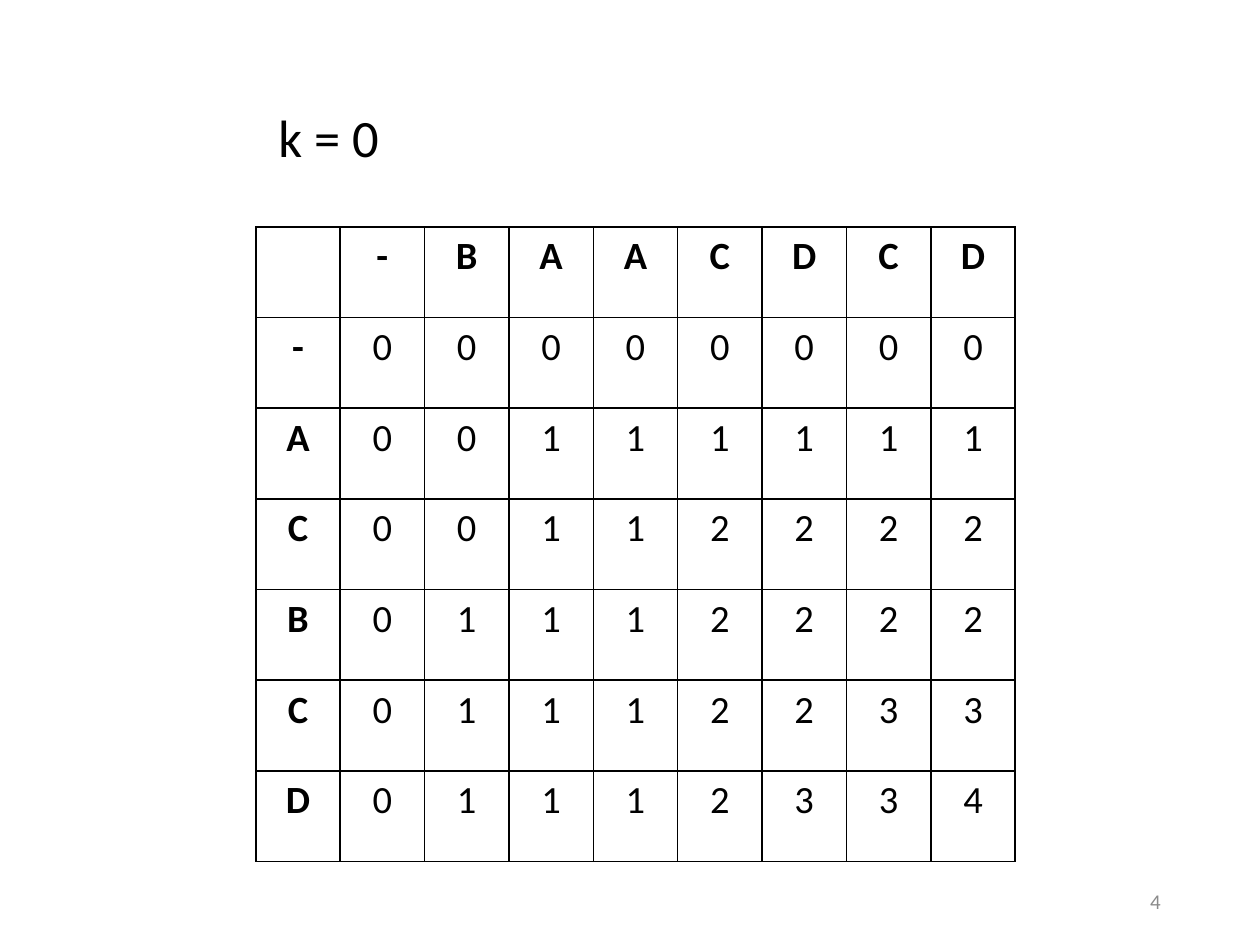
from lxml import etree
from pptx import Presentation
from pptx.dml.color import RGBColor
from pptx.enum.text import MSO_ANCHOR, MSO_AUTO_SIZE, PP_ALIGN
from pptx.oxml.ns import qn
from pptx.util import Inches, Pt

LEFT, CENTER, RIGHT = PP_ALIGN.LEFT, PP_ALIGN.CENTER, PP_ALIGN.RIGHT
TOP, MIDDLE = MSO_ANCHOR.TOP, MSO_ANCHOR.MIDDLE
TITLE_ONLY = 5
FONT = "Calibri"
BLACK, GRAY = "000000", "8B8B8B"
BORDER_PT = 0.96
TABLE_LEFT, TABLE_TOP = 2.03, 1.8
COL_W, ROW_H = 0.67, 0.72

# Longest common subsequence lengths: header row, then one row per letter
LCS_ROWS = [
    " -BAACDCD",
    "-00000000",
    "A00111111",
    "C00112222",
    "B01112222",
    "C01112233",
    "D01112334",
]


def rgb(value):
    return RGBColor.from_string(value)


def write(tf, text, size, color=BLACK, bold=False, align=LEFT):
    p = tf.paragraphs[0]
    p.alignment = align
    r = p.add_run()
    r.text = text
    for name, value in dict(name=FONT, size=Pt(size), bold=bold).items():
        setattr(r.font, name, value)
    r.font.color.rgb = rgb(color)


def place(sp, left, top, width, height):
    box = dict(left=left, top=top, width=width, height=height)
    for name, value in box.items():
        setattr(sp, name, Inches(value))


def add_borders(cell):
    tc_pr = cell._tc.get_or_add_tcPr()
    for i, side in enumerate(("lnL", "lnR", "lnT", "lnB")):
        ln = etree.Element(qn(f"a:{side}"), w=str(Pt(BORDER_PT)))
        fill = etree.SubElement(ln, qn("a:solidFill"))
        etree.SubElement(fill, qn("a:srgbClr"), val=BLACK)
        tc_pr.insert(i, ln)  # borders come before the cell fill


def add_title(s, text):
    sp = s.shapes.title
    place(sp, 2.11, 0.78, 1.05, 0.6)
    tf = sp.text_frame
    settings = dict(word_wrap=False, vertical_anchor=TOP,
                    auto_size=MSO_AUTO_SIZE.SHAPE_TO_FIT_TEXT)
    for name, value in settings.items():
        setattr(tf, name, value)
    write(tf, text, 30)


def add_lcs_table(s, rows):
    n_rows, n_cols = len(rows), len(rows[0])
    frame = s.shapes.add_table(
        n_rows, n_cols, Inches(TABLE_LEFT), Inches(TABLE_TOP),
        Inches(COL_W * n_cols), Inches(ROW_H * n_rows))
    table = frame.table
    table.first_row = table.horz_banding = False
    for col in table.columns:
        col.width = Inches(COL_W)
    for row in table.rows:
        row.height = Inches(ROW_H)
    for i, values in enumerate(rows):
        for j, value in enumerate(values):
            cell = table.cell(i, j)
            cell.margin_left = cell.margin_right = Inches(0.07)
            cell.fill.background()
            add_borders(cell)
            if value.strip():
                write(cell.text_frame, value, 22,
                      bold=i == 0 or j == 0, align=CENTER)


def add_slide_number(s, text):
    sp = s.shapes.add_textbox(0, 0, 0, 0)
    place(sp, 7.06, 6.95, 2.25, 0.4)
    tf = sp.text_frame
    tf.word_wrap = True
    tf.vertical_anchor = MIDDLE
    write(tf, text, 12, color=GRAY, align=RIGHT)


def main():
    prs = Presentation()
    prs.slide_width, prs.slide_height = Inches(10), Inches(7.5)
    s = prs.slides.add_slide(prs.slide_layouts[TITLE_ONLY])
    add_lcs_table(s, LCS_ROWS)
    add_title(s, "k = 0")
    add_slide_number(s, "4")
    prs.save("out.pptx")


if __name__ == "__main__":
    main()
